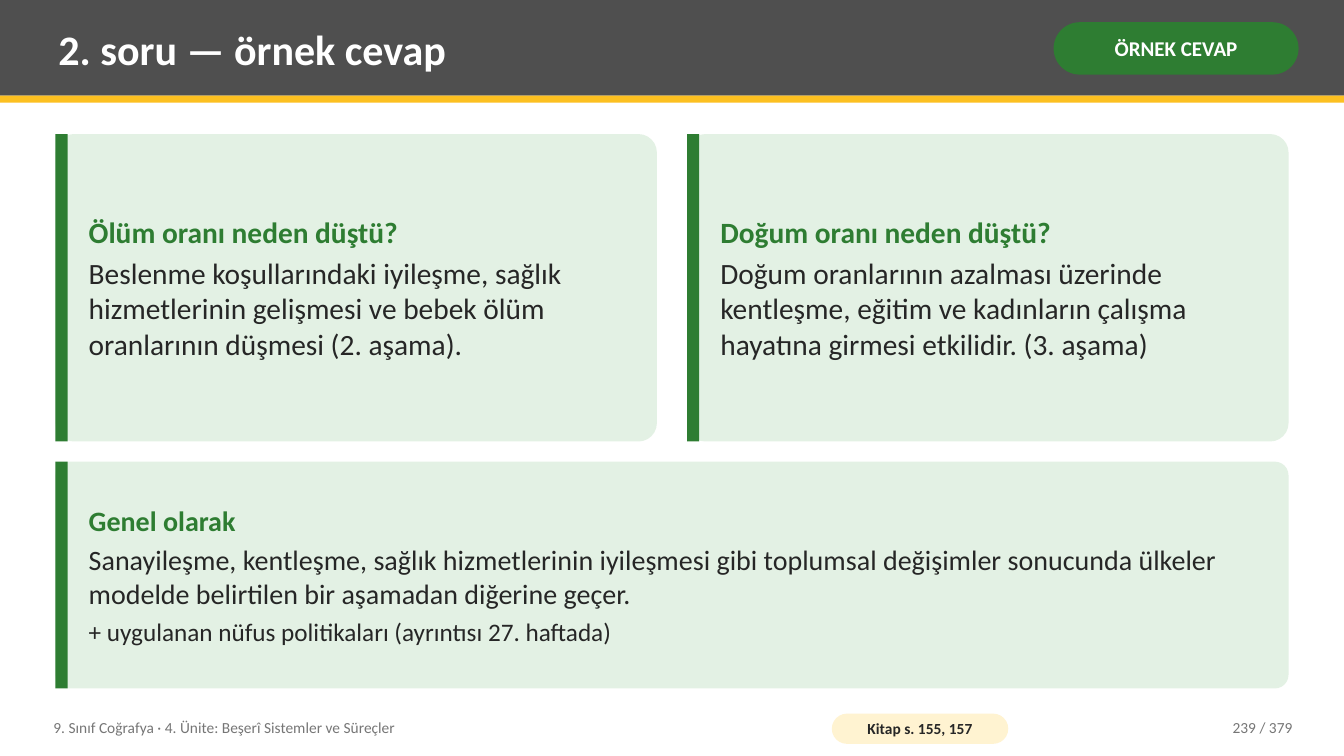
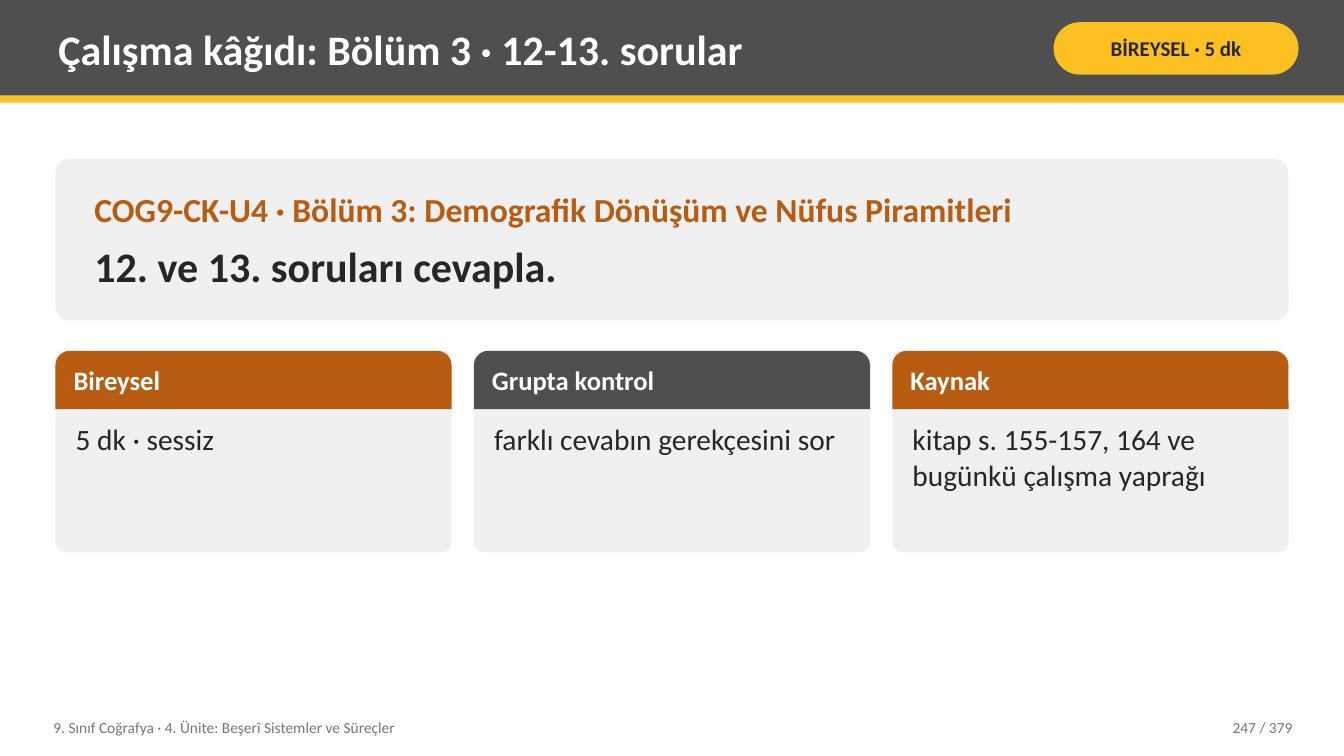
from pptx import Presentation
from pptx.dml.color import RGBColor
from pptx.enum.shapes import MSO_SHAPE
from pptx.enum.text import MSO_ANCHOR, MSO_AUTO_SIZE, PP_ALIGN
from pptx.util import Inches, Pt

FONT = "Calibri"
GRAY, YELLOW, GREEN, ORANGE = "4F4F4F", "FCC021", "2E7D32", "B85C12"
WHITE, INK, MUTED = "FFFFFF", "262626", "767676"
PALE_GREEN, PALE_YELLOW, PALE_GRAY = "E3F1E4", "FFF3D1", "F0F0F0"
SLIDE_WIDTH, SLIDE_HEIGHT = 13.33, 7.5
LEFT, CONTENT_WIDTH = 0.55, 12.23
TEXT_INSETS = (0.08, 0.04)
COURSE = "9. Sınıf Coğrafya · 4. Ünite: Beşerî Sistemler ve Süreçler"
PAGE_COUNT = 379


def color(hex_string):
    return RGBColor.from_string(hex_string)


def columns(count, gap):
    """Left edges and common width of equal columns across the content area."""
    width = (CONTENT_WIDTH - gap * (count - 1)) / count
    return [LEFT + i * (width + gap) for i in range(count)], width


def line(text, size, text_color, bold=False, after=0):
    return text, size, text_color, bold, after


class Deck:
    def __init__(self):
        self.presentation = Presentation()
        self.presentation.slide_width = Inches(SLIDE_WIDTH)
        self.presentation.slide_height = Inches(SLIDE_HEIGHT)
        self.slide = None

    def fill_text(self, shape, lines, align=PP_ALIGN.LEFT, anchor=MSO_ANCHOR.MIDDLE,
                  insets=TEXT_INSETS):
        frame = shape.text_frame
        frame.word_wrap = True
        frame.auto_size = MSO_AUTO_SIZE.NONE
        frame.vertical_anchor = anchor
        frame.margin_left = frame.margin_right = Inches(insets[0])
        frame.margin_top = frame.margin_bottom = Inches(insets[1])
        for i, (text, size, text_color, bold, after) in enumerate(lines):
            paragraph = frame.add_paragraph() if i else frame.paragraphs[0]
            paragraph.alignment = align
            paragraph.space_after = Pt(after)
            run = paragraph.add_run()
            run.text = text
            run.font.name = FONT
            run.font.size = Pt(size)
            run.font.bold = bold
            run.font.color.rgb = color(text_color)

    def text(self, left, top, width, height, lines, **style):
        box = self.slide.shapes.add_textbox(
            Inches(left), Inches(top), Inches(width), Inches(height))
        self.fill_text(box, lines, **style)

    def block(self, left, top, width, height, fill, radius=None,
              kind=MSO_SHAPE.ROUNDED_RECTANGLE):
        if radius is None:
            kind = MSO_SHAPE.RECTANGLE
        shape = self.slide.shapes.add_shape(
            kind, Inches(left), Inches(top), Inches(width), Inches(height))
        if radius is not None:
            shape.adjustments[0] = radius
        shape.shadow.inherit = False
        shape.fill.solid()
        shape.fill.fore_color.rgb = color(fill)
        shape.line.fill.background()
        return shape

    def pill(self, left, top, width, height, fill, label, insets):
        shape = self.block(left, top, width, height, fill, 0.5)
        self.fill_text(shape, [label], align=PP_ALIGN.CENTER, insets=insets)

    def start_slide(self, title, tag, tag_fill, tag_color, page):
        self.slide = self.presentation.slides.add_slide(
            self.presentation.slide_layouts.get_by_name("Title Only"))
        # Title band
        self.block(0, 0, SLIDE_WIDTH, 0.95, GRAY)
        stripe = self.block(0, 0.95, SLIDE_WIDTH, 0.07, YELLOW)
        heading = self.slide.shapes.title
        heading.left, heading.top = Inches(0.5), Inches(0.07)
        heading.width, heading.height = Inches(9.75), Inches(0.82)
        self.fill_text(heading, [line(title, 30, WHITE, True)])
        stripe.element.addnext(heading.element)
        self.pill(10.45, 0.22, 2.43, 0.52, tag_fill,
                  line(tag, 15, tag_color, True), (0.05, 0.02))
        # Footer
        self.text(0.45, 7.04, 7.6, 0.36, [line(COURSE, 11, MUTED)])
        self.text(11.3, 7.04, 1.6, 0.36,
                  [line(f"{page} / {PAGE_COUNT}", 11, MUTED)], align=PP_ALIGN.RIGHT)

    def book_reference(self, label):
        self.pill(8.25, 7.08, 1.75, 0.3, PALE_YELLOW,
                  line(label, 11, INK, True), (0.04, 0))

    def answer(self, left, top, width, height, lines):
        self.block(left, top, width, height, PALE_GREEN, 0.06)
        self.block(left, top, 0.12, height, GREEN)
        self.text(left + 0.25, top + 0.06, width - 0.35, height - 0.12, lines)

    def card(self, left, top, width, height, header_fill, header, body):
        header_height = 0.58
        self.block(left, top, width, height, PALE_GRAY, 0.05)
        self.block(left, top, width, header_height, header_fill, 0.25,
                   MSO_SHAPE.ROUND_2_SAME_RECTANGLE)
        self.text(left + 0.1, top, width - 0.2, header_height,
                  [line(header, 19, WHITE, True)])
        self.text(left + 0.12, top + 0.66, width - 0.24, height - 0.74,
                  [line(body, 21, INK)], anchor=MSO_ANCHOR.TOP)


def build_answer_slide(deck):
    deck.start_slide("2. soru — örnek cevap", "ÖRNEK CEVAP", GREEN, WHITE, 239)
    # Two causes side by side
    causes = [
        ("Ölüm oranı neden düştü?",
         "Beslenme koşullarındaki iyileşme, sağlık hizmetlerinin gelişmesi ve "
         "bebek ölüm oranlarının düşmesi (2. aşama)."),
        ("Doğum oranı neden düştü?",
         "Doğum oranlarının azalması üzerinde kentleşme, eğitim ve kadınların "
         "çalışma hayatına girmesi etkilidir. (3. aşama)"),
    ]
    lefts, width = columns(2, 0.3)
    for left, (question, reply) in zip(lefts, causes):
        deck.answer(left, 1.33, width, 3.05,
                    [line(question, 21, GREEN, True, 4), line(reply, 21, INK)])
    # Summary
    deck.answer(LEFT, 4.58, CONTENT_WIDTH, 2.25, [
        line("Genel olarak", 20, GREEN, True, 4),
        line("Sanayileşme, kentleşme, sağlık hizmetlerinin iyileşmesi gibi toplumsal "
             "değişimler sonucunda ülkeler modelde belirtilen bir aşamadan diğerine "
             "geçer.", 20, INK, after=5),
        line("+ uygulanan nüfus politikaları (ayrıntısı 27. haftada)", 18, INK),
    ])
    deck.book_reference("Kitap s. 155, 157")


def build_worksheet_slide(deck):
    deck.start_slide("Çalışma kâğıdı: Bölüm 3 · 12-13. sorular",
                     "BİREYSEL · 5 dk", YELLOW, INK, 247)
    # Task
    task = deck.block(LEFT, 1.58, CONTENT_WIDTH, 1.6, PALE_GRAY, 0.08)
    deck.fill_text(task, [
        line("COG9-CK-U4 · Bölüm 3: Demografik Dönüşüm ve Nüfus Piramitleri",
             24, ORANGE, True, 8),
        line("12. ve 13. soruları cevapla.", 30, INK, True),
    ], insets=(0.35, 0.08))
    # Instruction cards
    cards = [
        (ORANGE, "Bireysel", "5 dk · sessiz"),
        (GRAY, "Grupta kontrol", "farklı cevabın gerekçesini sor"),
        (ORANGE, "Kaynak", "kitap s. 155-157, 164 ve bugünkü çalışma yaprağı"),
    ]
    lefts, width = columns(3, 0.22)
    for left, content in zip(lefts, cards):
        deck.card(left, 3.48, width, 2, *content)


def main():
    deck = Deck()
    build_answer_slide(deck)
    build_worksheet_slide(deck)
    deck.presentation.save("out.pptx")


if __name__ == "__main__":
    main()
